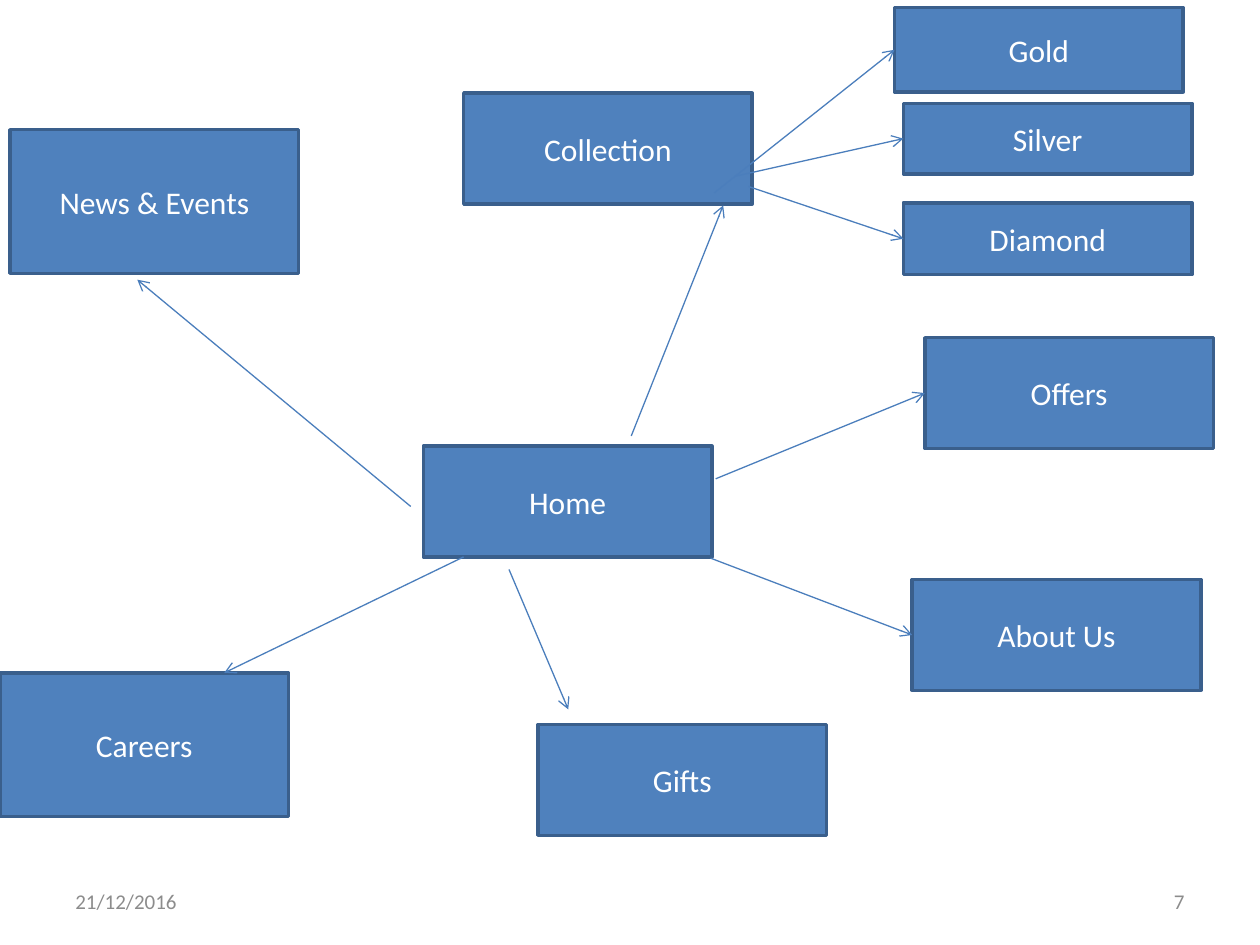
from lxml import etree
from pptx import Presentation
from pptx import util as u
from pptx.dml.color import RGBColor
from pptx.enum import shapes, text
from pptx.oxml.ns import qn

BOX_FILL = RGBColor(0x4F, 0x81, 0xBD)
BOX_LINE = RGBColor(0x3A, 0x5F, 0x8C)
ARROW = RGBColor(0x4B, 0x7E, 0xBC)
WHITE = RGBColor(0xFF, 0xFF, 0xFF)
GREY = RGBColor(0x8C, 0x8C, 0x8C)
BOX_WIDTH = 2.29
LEFT_SIDE = 1


def write(shape, wording, size, color, align):
    frame = shape.text_frame
    frame.word_wrap = True
    frame.vertical_anchor = text.MSO_ANCHOR.MIDDLE
    frame.text = wording
    para = frame.paragraphs[0]
    para.alignment = align
    font = para.runs[0].font
    font.name = "Calibri"
    font.size = u.Pt(size)
    font.color.rgb = color


deck = Presentation()
deck.slide_width = u.Inches(10)
deck.slide_height = u.Inches(7.5)
page = deck.slides.add_slide(deck.slide_layouts[6])

footers = [
    ("21/12/2016", 0.5, text.PP_ALIGN.LEFT),
    ("7", 7.17, text.PP_ALIGN.RIGHT),
]
for wording, left, align in footers:
    footer = page.shapes.add_textbox(u.Inches(left), u.Inches(6.95), u.Inches(2.33), u.Inches(0.4))
    write(footer, wording, 12, GREY, align)

site_map = [
    ("Home", 3.36, 3.54, 0.88),
    ("About Us", 7.24, 4.6, 0.88),
    ("Offers", 7.34, 2.68, 0.88),
    ("Collection", 3.68, 0.74, 0.88),
    ("Gifts", 4.27, 5.75, 0.88),
    ("Gold", 7.1, 0.06, 0.67),
    ("Diamond", 7.17, 1.61, 0.57),
    ("Silver", 7.17, 0.82, 0.56),
    ("News & Events", 0.08, 1.03, 1.14),
    ("Careers", 0, 5.34, 1.14),
]
boxes = {}
for name, left, top, height in site_map:
    box = page.shapes.add_shape(
        shapes.MSO_SHAPE.RECTANGLE,
        u.Inches(left), u.Inches(top), u.Inches(BOX_WIDTH), u.Inches(height),
    )
    box.shadow.inherit = False
    box.fill.solid()
    box.fill.fore_color.rgb = BOX_FILL
    box.line.color.rgb = BOX_LINE
    box.line.width = u.Pt(2)
    write(box, name, 18, WHITE, text.PP_ALIGN.CENTER)
    boxes[name] = box

arrows = [
    (5.67, 1.53, 7.1, 0.39, "Gold"),
    (5.94, 1.48, 7.17, 1.89, "Diamond"),
    (5.83, 1.4, 7.17, 1.1, "Silver"),
    (5.01, 3.46, 5.74, 1.63, None),
    (5.68, 3.8, 7.34, 3.12, "Offers"),
    (5.64, 4.43, 7.24, 5.04, "About Us"),
    (3.26, 4.02, 1.09, 2.22, None),
    (3.68, 4.42, 1.78, 5.34, None),
    (4.04, 4.52, 4.51, 5.63, None),
]
for start_x, start_y, end_x, end_y, target in arrows:
    arrow = page.shapes.add_connector(
        shapes.MSO_CONNECTOR.STRAIGHT,
        u.Inches(start_x), u.Inches(start_y), u.Inches(end_x), u.Inches(end_y),
    )
    if target:
        arrow.end_connect(boxes[target], LEFT_SIDE)
    arrow.line.color.rgb = ARROW
    arrow.line.width = u.Pt(0.75)
    etree.SubElement(arrow.line._get_or_add_ln(), qn("a:tailEnd"), type="arrow")
    etree.SubElement(arrow._element.spPr, qn("a:effectLst"))

deck.save("out.pptx")
